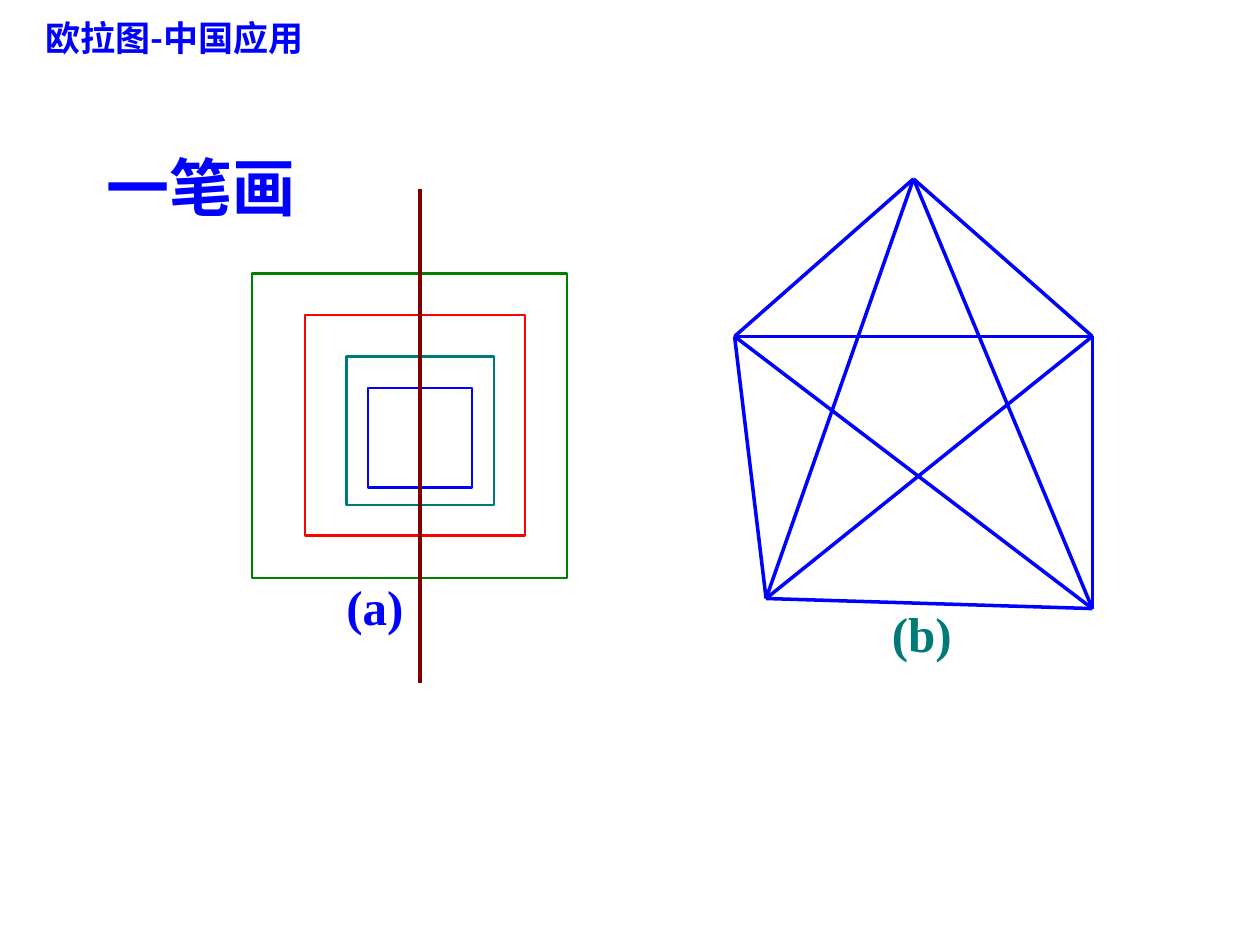
"""Build a slide on one-stroke drawings: nested squares with a line, and a complete five-point graph."""
import itertools

import lxml.etree
import pptx
import pptx.dml.color
import pptx.enum.shapes
import pptx.enum.text
import pptx.oxml.ns
import pptx.util

Inches = pptx.util.Inches
Pt = pptx.util.Pt
RGBColor = pptx.dml.color.RGBColor

BLUE = RGBColor(0x00, 0x00, 0xFF)
GREEN = RGBColor(0x00, 0x80, 0x00)
RED = RGBColor(0xFF, 0x00, 0x00)
TEAL = RGBColor(0x00, 0x7A, 0x77)
MAROON = RGBColor(0x80, 0x00, 0x00)

CJK_FONT = "Noto Sans CJK SC"
LABEL_FONT = "Times New Roman"

TITLE = ("欧拉图-中国应用", (0.26, 0.08, 3.02, 0.43), 20, CJK_FONT, BLUE)
HEADING = ("一笔画", (0.75, 1.13, 3.5, 0.7), 36, "Arial", BLUE)
LABEL_A = ("(a)", (2.65, 4.53, 0.65, 0.57), 28, LABEL_FONT, BLUE)
LABEL_B = ("(b)", (6.98, 4.74, 0.68, 0.57), 28, LABEL_FONT, TEAL)

NESTED_SQUARES = [
    ((2, 2.17, 2.5, 2.42), GREEN),
    ((2.42, 2.5, 1.75, 1.75), RED),
    ((2.75, 2.83, 1.17, 1.18), TEAL),
    ((2.92, 3.08, 0.83, 0.79), BLUE),
]
CROSSING_LINE = ((3.33, 1.5), (3.33, 5.42))
PENTAGON_POINTS = [(7.25, 1.42), (8.67, 2.67), (8.67, 4.83), (6.08, 4.75), (5.83, 2.67)]


def write_text(shape, content, wrap=True):
    text, box, size, font_name, color = content
    shape.left, shape.top, shape.width, shape.height = map(Inches, box)
    frame = shape.text_frame
    frame.text = text
    frame.word_wrap = wrap
    frame.auto_size = pptx.enum.text.MSO_AUTO_SIZE.NONE
    frame.vertical_anchor = pptx.enum.text.MSO_ANCHOR.TOP
    paragraph = frame.paragraphs[0]
    paragraph.alignment = pptx.enum.text.PP_ALIGN.LEFT
    font = paragraph.runs[0].font
    font.size = Pt(size)
    font.bold = True
    font.name = font_name
    font.color.rgb = color
    properties = paragraph.runs[0]._r.get_or_add_rPr()
    east_asian = lxml.etree.SubElement(properties, pptx.oxml.ns.qn("a:ea"))
    east_asian.set("typeface", CJK_FONT)


def add_text(shapes, content, wrap=True):
    write_text(shapes.add_textbox(*map(Inches, content[1])), content, wrap)


def add_square(shapes, box, color):
    square = shapes.add_shape(pptx.enum.shapes.MSO_SHAPE.RECTANGLE, *map(Inches, box))
    square.shadow.inherit = False
    square.fill.background()
    square.line.color.rgb = color
    square.line.width = Pt(1.25)


def add_line(shapes, start, end, color, width):
    line = shapes.add_connector(
        pptx.enum.shapes.MSO_CONNECTOR.STRAIGHT, *map(Inches, start + end)
    )
    line.line.color.rgb = color
    line.line.width = Pt(width)
    lxml.etree.SubElement(line._element.spPr, pptx.oxml.ns.qn("a:effectLst"))


def main():
    presentation = pptx.Presentation()
    presentation.slide_width = Inches(10)
    presentation.slide_height = Inches(7.5)
    slide = presentation.slides.add_slide(presentation.slide_layouts[5])
    write_text(slide.shapes.title, TITLE)
    add_text(slide.shapes, HEADING)

    squares = slide.shapes.add_group_shape().shapes
    for box, color in NESTED_SQUARES:
        add_square(squares, box, color)
    add_line(squares, *CROSSING_LINE, MAROON, 2.25)
    add_text(slide.shapes, LABEL_A, wrap=False)

    graph = slide.shapes.add_group_shape().shapes
    for start, end in itertools.combinations(PENTAGON_POINTS, 2):
        add_line(graph, start, end, BLUE, 2)
    add_text(graph, LABEL_B, wrap=False)

    presentation.save("out.pptx")


if __name__ == "__main__":
    main()
